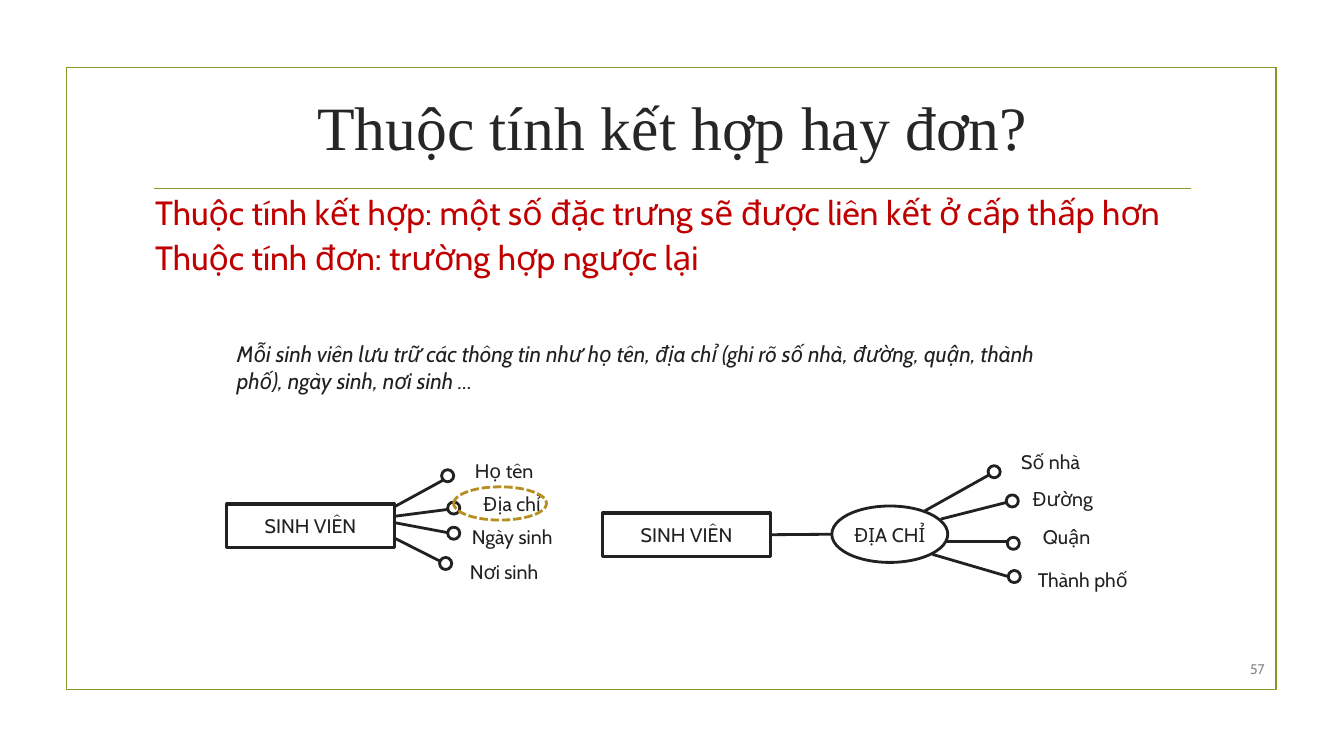
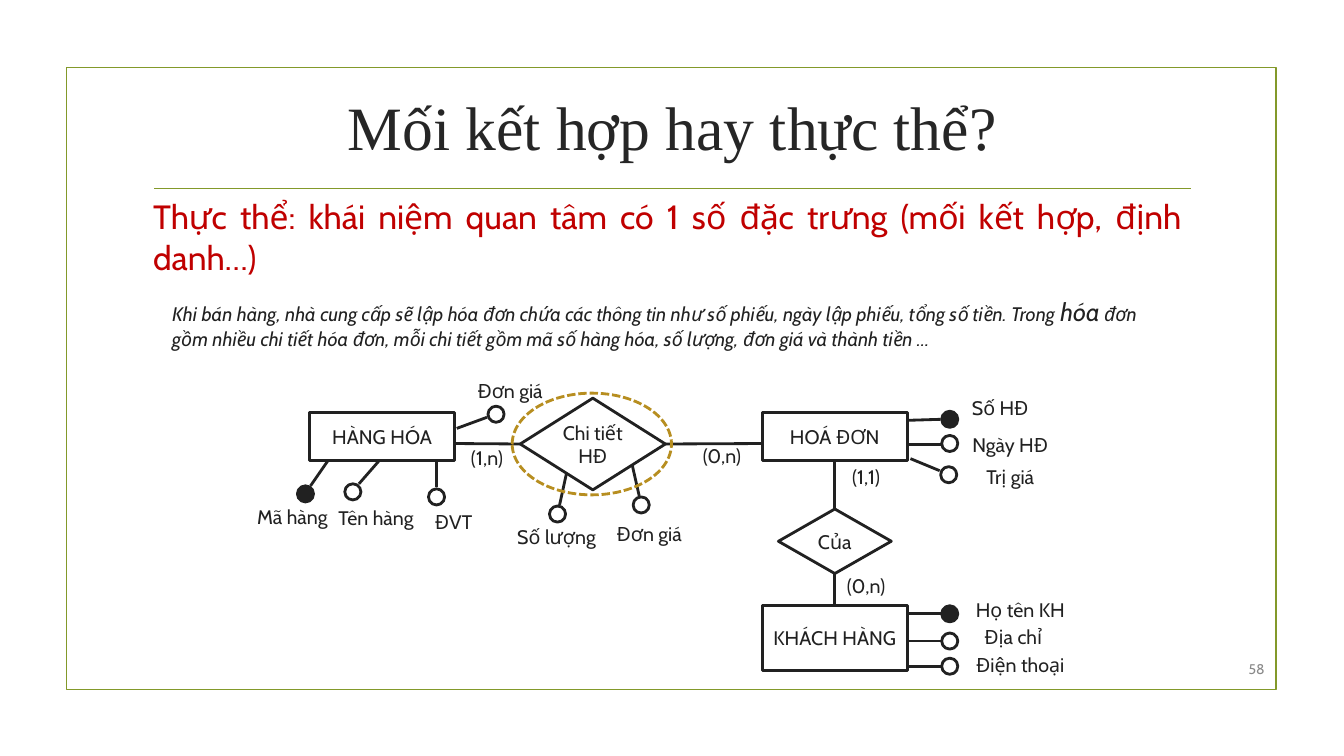
from lxml import etree
from pptx import Presentation
from pptx.dml.color import RGBColor
from pptx.enum.dml import MSO_LINE
from pptx.enum.shapes import MSO_CONNECTOR, MSO_SHAPE
from pptx.enum.text import MSO_ANCHOR, PP_ALIGN
from pptx.oxml.ns import qn
from pptx.util import Emu, Pt

PX = 9144  # 100 px to the inch
PAGE_SIZE = (1333, 750)
COLORS = {"ink": "212121", "title": "262626", "green": "83992A", "red": "C00000",
          "gold": "B78E20", "gray": "898989", "white": "FFFFFF"}
BODY_FONT, TITLE_FONT = "Cabin", "Times New Roman"
RECT, ELLIPSE, DIAMOND = MSO_SHAPE.RECTANGLE, MSO_SHAPE.OVAL, MSO_SHAPE.DIAMOND
STRAIGHT, DASH = MSO_CONNECTOR.STRAIGHT, MSO_LINE.SQUARE_DOT
LEFT, CENTER, RIGHT, JUSTIFY = PP_ALIGN.LEFT, PP_ALIGN.CENTER, PP_ALIGN.RIGHT, PP_ALIGN.JUSTIFY
ANCHOR_TOP, ANCHOR_MIDDLE = MSO_ANCHOR.TOP, MSO_ANCHOR.MIDDLE
SIDE_TOP, SIDE_LEFT, SIDE_BOTTOM, SIDE_RIGHT = range(4)

FRAME_BOX = (66, 67, 1200, 617)
RULE = ((153, 187), (1181, 187))
TITLE_BOX = (142, 68, 1050, 114)
NUMBER_BOX = (1205, 648, 59, 31)
LABEL_SIZE = (130, 24)

# nodes: key -> (outline, text, box)
# links: pairs of ends, each a (node key, side) or a point
# attributes: label, label top centre, line start, line end, dot centre, is key
SLIDES = [
    {
        "number": "57",
        "title": "Thuộc tính kết hợp hay đơn?",
        "rules": ["Thuộc tính kết hợp: một số đặc trưng sẽ được liên kết ở cấp thấp hơn",
                  "Thuộc tính đơn: trường hợp ngược lại"],
        "rules_box": (144, 185, 1056, 95),
        "example": [("Mỗi sinh viên lưu trữ các thông tin như họ tên, địa chỉ (ghi rõ số nhà, "
                     "đường, quận, thành phố), ngày sinh, nơi sinh …", 16)],
        "example_box": (225, 333, 858, 64),
        "dot": 12,
        "rect_line": 2.25,
        "nodes": {
            "student": (RECT, "SINH VIÊN", (225, 500, 166, 43)),
            "addressed": (RECT, "SINH VIÊN", (598, 509, 166, 43)),
            "address": (ELLIPSE, "ĐỊA CHỈ", (825, 502, 115, 56)),
        },
        "links": [(("addressed", SIDE_RIGHT), (825, 530))],
        "attributes": [
            ("Họ tên", (500, 455), (367, 516), (442, 475), (444, 472), False),
            ("Địa chỉ", (508, 488), (362, 516), (447, 505), (450, 504), False),
            ("Ngày sinh", (508, 521), (362, 513), (447, 529), (450, 529), False),
            ("Nơi sinh", (500, 555), (362, 519), (439, 558), (442, 559), False),
            ("Số nhà", (1042, 446), (908, 512), (983, 470), (986, 468), False),
            ("Đường", (1054, 483), (933, 515), (1000, 498), (1004, 497), False),
            ("Quận", (1058, 521), (933, 537), (1000, 537), (1005, 539), False),
            ("Thành phố", (1074, 563), (925, 550), (1000, 572), (1006, 572), False),
        ],
        "cardinalities": [],
        "highlight": (450, 483, 92, 33),
    },
    {
        "number": "58",
        "title": "Mối kết hợp hay thực thể?",
        "rules": ["Thực thể: khái niệm quan tâm có 1 số đặc trưng (mối kết hợp, định danh…)"],
        "rules_box": (142, 189, 1040, 91),
        "example": [("Khi bán hàng, nhà cung cấp sẽ lập hóa đơn chứa các thông tin như số phiếu, "
                     "ngày lập phiếu, tổng số tiền. Trong ", 14),
                    ("hóa", 18),
                    (" đơn gồm nhiều chi tiết hóa đơn, mỗi chi tiết gồm mã số hàng hóa, "
                     "số lượng, đơn giá và thành tiền …", 14)],
        "example_box": (161, 289, 1001, 64),
        "dot": 16,
        "rect_line": 2,
        "nodes": {
            "goods": (RECT, "HÀNG HÓA", (307, 409, 144, 48)),
            "detail": (DIAMOND, "Chi tiết HĐ", (516, 395, 144, 91)),
            "invoice": (RECT, "HOÁ ĐƠN", (756, 409, 144, 48)),
            "owner": (DIAMOND, "Của", (772, 505, 112, 64)),
            "customer": (RECT, "KHÁCH HÀNG", (756, 601, 144, 64)),
        },
        "links": [
            ((451, 440), ("detail", SIDE_LEFT)),
            (("detail", SIDE_RIGHT), (756, 440)),
            (("invoice", SIDE_BOTTOM), ("owner", SIDE_TOP)),
            (("owner", SIDE_BOTTOM), ("customer", SIDE_TOP)),
        ],
        "attributes": [
            ("Mã hàng", (290, 501), (326, 456), (308, 482), (303, 490), True),
            ("Tên hàng", (373, 502), (377, 456), (356, 480), (350, 488), False),
            ("ĐVT", (450, 506), (433, 451), (433, 483), (433, 493), False),
            ("Đơn giá", (506, 376), (453, 425), (483, 414), (492, 411), False),
            ("Số lượng", (552, 521), (562, 469), (555, 501), (553, 510), False),
            ("Đơn giá", (644, 518), (627, 461), (634, 492), (636, 501), False),
            ("Số HĐ", (992, 393), (901, 417), (933, 416), (942, 416), True),
            ("Ngày HĐ", (1002, 429), (901, 441), (933, 441), (942, 440), False),
            ("Trị giá", (1002, 461), (903, 455), (932, 467), (941, 471), False),
            ("Họ tên KH", (1012, 593), (901, 609), (933, 609), (942, 609), True),
            ("Địa chỉ", (1005, 620), (901, 636), (933, 636), (942, 636), False),
            ("Điện thoại", (1012, 648), (901, 661), (933, 661), (942, 661), False),
        ],
        "cardinalities": [("(1,n)", (483, 442)), ("(0,n)", (716, 440)),
                          ("(1,1)", (859, 461)), ("(0,n)", (859, 569))],
        "highlight": (508, 390, 158, 101),
    },
]


def emu(lengths):
    return [Emu(round(length * PX)) for length in lengths]


def color(name):
    return RGBColor.from_string(COLORS[name])


def write(shape, paragraphs, size, ink="ink", font=BODY_FONT, align=CENTER,
          anchor=ANCHOR_MIDDLE, margins=(10, 5), italic=False, space_after=0):
    """Fill a shape with paragraphs, each a list of (text, size) runs or one string."""
    frame = shape.text_frame
    frame.word_wrap = True
    frame.vertical_anchor = anchor
    frame.margin_left = frame.margin_right = Emu(margins[0] * PX)
    frame.margin_top = frame.margin_bottom = Emu(margins[1] * PX)
    for index, content in enumerate(paragraphs):
        para = frame.add_paragraph() if index else frame.paragraphs[0]
        para.alignment = align
        para.space_after = Pt(space_after)
        para.font.name = font
        para.font.size = Pt(size)
        para.font.italic = italic
        para.font.color.rgb = color(ink)
        runs = [(content, size)] if isinstance(content, str) else content
        for text, run_size in runs:
            span = para.add_run()
            span.text = text
            if run_size != size:
                span.font.size = Pt(run_size)


def add_text(page, box, paragraphs, size, **style):
    write(page.shapes.add_textbox(*emu(box)), paragraphs, size, **style)


def add_label(page, text, top_center):
    x, top = top_center
    width, height = LABEL_SIZE
    add_text(page, (x - width / 2, top, width, height), [text], 14,
             anchor=ANCHOR_TOP, margins=(0, 0))


def add_outline(page, kind, box, line="ink", weight=2, fill=None):
    shape = page.shapes.add_shape(kind, *emu(box))
    shape.shadow.inherit = False
    if fill:
        shape.fill.solid()
        shape.fill.fore_color.rgb = color(fill)
    else:
        shape.fill.background()
    shape.line.color.rgb = color(line)
    shape.line.width = Pt(weight)
    return shape


def add_line(page, start, end, ink="ink", weight=2):
    line = page.shapes.add_connector(STRAIGHT, *emu(start + end))
    line.line.color.rgb = color(ink)
    line.line.width = Pt(weight)
    etree.SubElement(line.element.spPr, qn("a:effectLst"))
    return line


def add_link(page, nodes, start, end):
    """Draw a line whose ends are points or (node key, side) pairs."""
    glued = [isinstance(place[0], str) for place in (start, end)]
    line = add_line(page, (0, 0) if glued[0] else start, (0, 0) if glued[1] else end)
    if glued[0]:
        line.begin_connect(nodes[start[0]], start[1])
    if glued[1]:
        line.end_connect(nodes[end[0]], end[1])


def add_frame(page, title, number):
    add_outline(page, RECT, FRAME_BOX, "green", 1.25)
    add_line(page, *RULE, "green", 1.25)
    add_text(page, TITLE_BOX, [title], 44, ink="title", font=TITLE_FONT)
    add_text(page, NUMBER_BOX, [number], 10, ink="gray", align=RIGHT)


def add_diagram(page, content):
    for _, _, start, end, _, _ in content["attributes"]:
        add_line(page, start, end)
    nodes = {}
    for key, (kind, text, box) in content["nodes"].items():
        weight = content["rect_line"] if kind == RECT else 2
        nodes[key] = add_outline(page, kind, box, weight=weight, fill="white")
        write(nodes[key], [text], 14, margins=(0, 5) if kind == RECT else (0, 0))
    for start, end in content["links"]:
        add_link(page, nodes, start, end)
    size = content["dot"]
    for label, label_place, _, _, (x, y), is_key in content["attributes"]:
        add_outline(page, ELLIPSE, (x - size / 2, y - size / 2, size, size),
                    fill="ink" if is_key else "white")
        add_label(page, label, label_place)
    for text, place in content["cardinalities"]:
        add_label(page, text, place)
    highlight = add_outline(page, ELLIPSE, content["highlight"], "gold")
    highlight.line.dash_style = DASH


def main():
    deck = Presentation()
    deck.slide_width, deck.slide_height = emu(PAGE_SIZE)
    blank = deck.slide_layouts[6]
    for content in SLIDES:
        page = deck.slides.add_slide(blank)
        add_frame(page, content["title"], content["number"])
        add_text(page, content["rules_box"], content["rules"], 24, ink="red",
                 align=JUSTIFY, space_after=3)
        add_text(page, content["example_box"], [content["example"]], content["example"][0][1],
                 align=LEFT, anchor=ANCHOR_TOP, italic=True)
        add_diagram(page, content)
    deck.save("out.pptx")


if __name__ == "__main__":
    main()
